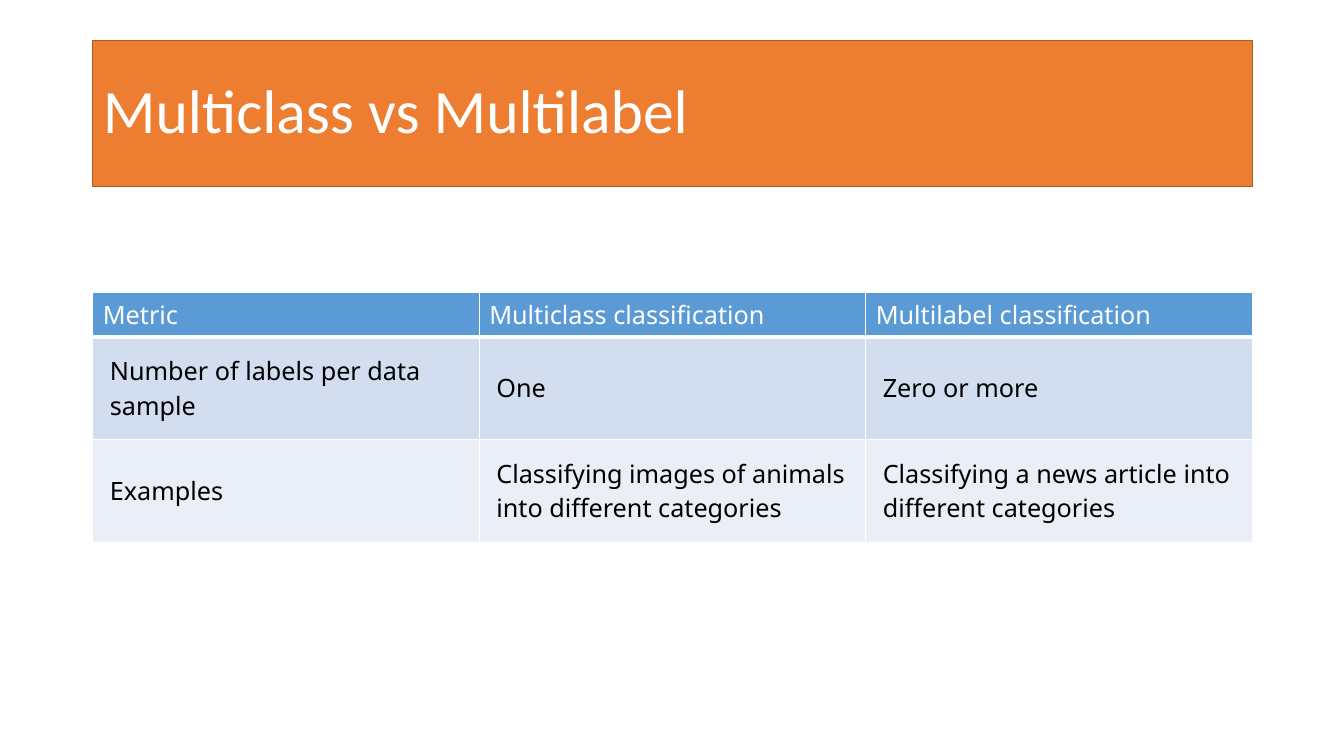
from pptx import Presentation
from pptx.dml.color import RGBColor
from pptx.enum.text import MSO_ANCHOR as Anchor, PP_ALIGN as Align
from pptx.oxml import parse_xml
from pptx.oxml.ns import nsdecls
from pptx.util import Inches, Pt

WHITE, BLACK = "FFFFFF", "000000"
FILLS = ["5B9BD5", "D2DEEF", "EAEFF7"]
HEIGHTS = [0.43, 1.01, 1.01]
ROWS = [
    ["Metric", "Multiclass classification", "Multilabel classification"],
    ["Number of labels per data sample", "One", "Zero or more"],
    ["Examples", "Classifying images of animals into different categories",
     "Classifying a news article into different categories"],
]


def paint(target, color):
    target.solid()
    target.fore_color.rgb = RGBColor.from_string(color)


def write(frame, text, font, size, color):
    para = frame.paragraphs[0]
    para.alignment = Align.LEFT
    run = para.add_run()
    run.text = text
    run.font.name = font
    run.font.size = Pt(size)
    run.font.bold = False
    run.font.color.rgb = RGBColor.from_string(color)
    return para


def edge(cell, sides):
    props = cell._tc.get_or_add_tcPr()
    for spot, (side, width) in enumerate(sides.items()):
        props.insert(spot, parse_xml(
            f'<a:ln{side} {nsdecls("a")} w="{Pt(width)}"><a:solidFill>'
            f'<a:srgbClr val="{WHITE}"/></a:solidFill></a:ln{side}>'))


def add_title(slide, text):
    title = slide.shapes.title
    title.left, title.top = Inches(0.92), Inches(0.4)
    title.width, title.height = Inches(11.5), Inches(1.45)
    paint(title.fill, "ED7D31")
    paint(title.line.fill, "AF5C24")
    title.line.width = Pt(1)
    frame = title.text_frame
    frame.word_wrap = True
    frame.vertical_anchor = Anchor.MIDDLE
    para = write(frame, text, "Calibri", 44, WHITE)
    para.line_spacing = 0.9


def fill_cell(cell, text, row):
    head = row == 0
    cell.vertical_anchor = Anchor.MIDDLE
    if not head:
        cell.margin_left = cell.margin_right = Inches(0.17)
        cell.margin_top = cell.margin_bottom = Inches(0.17)
    paint(cell.fill, FILLS[row])
    edge(cell, {"L": 1, "R": 1, "T": 3 if row == 1 else 1, "B": 3 if head else 1})
    write(cell.text_frame, text, "Noto Sans", 18, WHITE if head else BLACK)


def add_grid(slide):
    table = slide.shapes.add_table(
        len(ROWS), len(ROWS[0]), Inches(0.92), Inches(2.9),
        Inches(11.5), Inches(sum(HEIGHTS))).table
    for row, texts in enumerate(ROWS):
        table.rows[row].height = Inches(HEIGHTS[row])
        for col, text in enumerate(texts):
            fill_cell(table.cell(row, col), text, row)


def main():
    deck = Presentation()
    deck.slide_width, deck.slide_height = Inches(13.33), Inches(7.5)
    slide = deck.slides.add_slide(deck.slide_layouts[5])
    add_title(slide, "Multiclass vs Multilabel")
    add_grid(slide)
    deck.save("out.pptx")


if __name__ == "__main__":
    main()
